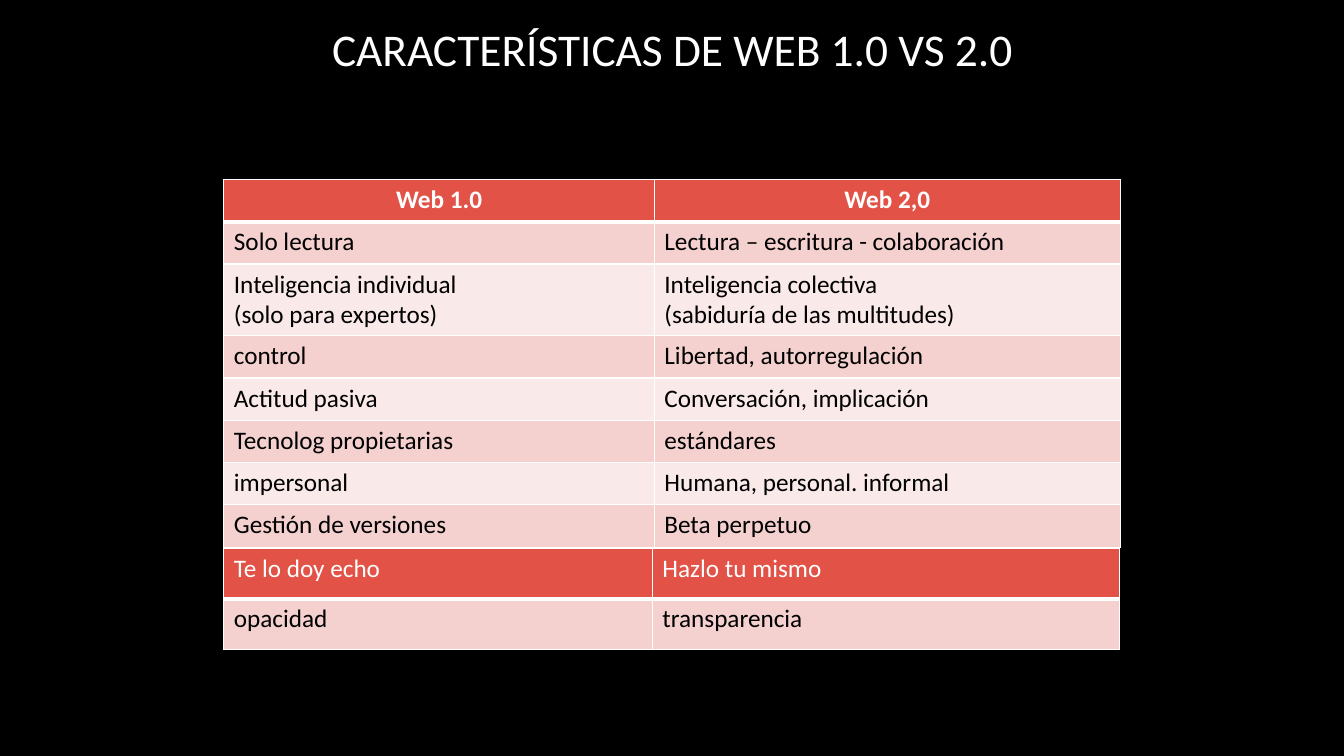
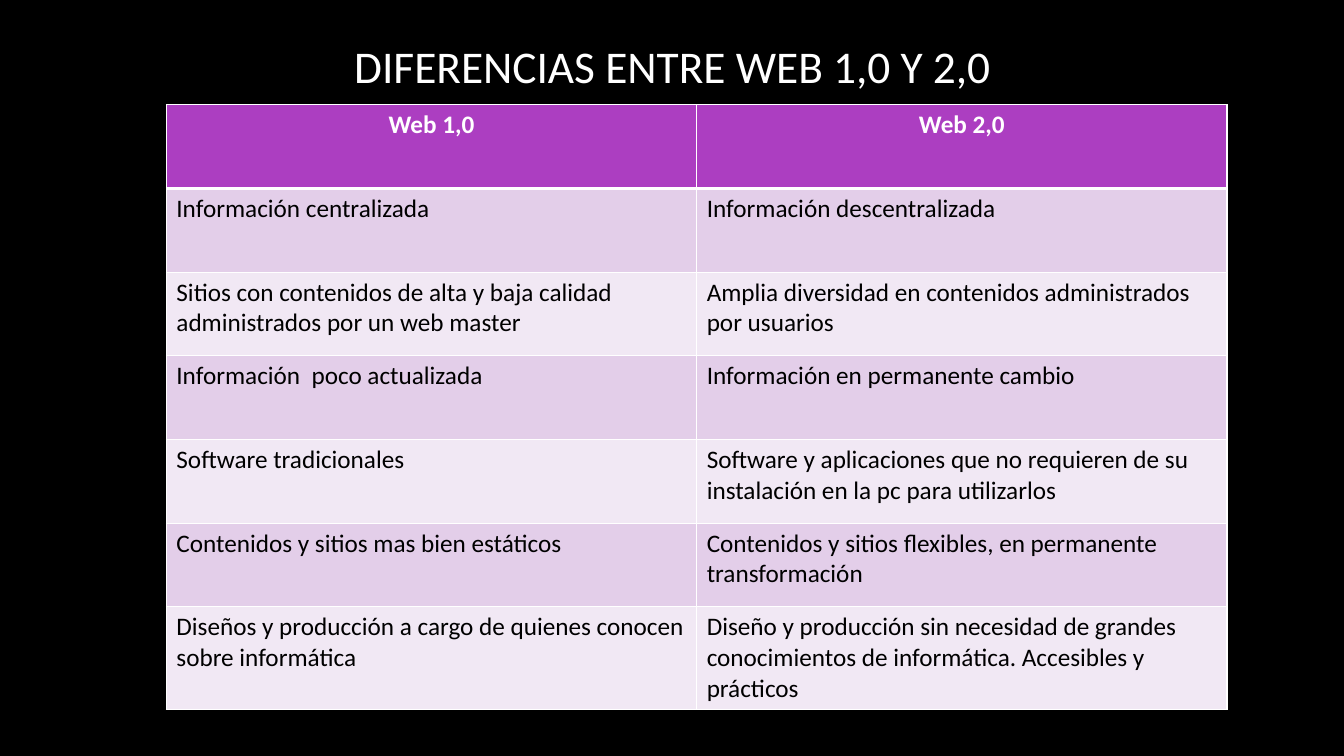
import pptx
import pptx.util
import pptx.dml.color
import pptx.enum.text
import pptx.oxml.ns
import lxml.etree

Inches, Pt = pptx.util.Inches, pptx.util.Pt
ALIGN = pptx.enum.text.PP_ALIGN
RED = ("E25247", "F4D1CF", "FAE9E9")
PURPLE = ("AC3EC1", "E3CEE9", "F1E8F4")
WHITE, BLACK = "FFFFFF", "000000"


def rgb(value):
    return pptx.dml.color.RGBColor.from_string(value)


def style_text(paragraph, size, color, bold, align):
    for name, value in {"name": "Calibri", "size": Pt(size), "bold": bold}.items():
        setattr(paragraph.font, name, value)
    paragraph.font.color.rgb = rgb(color)
    paragraph.alignment = align


# Content: title, its top and height, then the tables of each slide
comparisons = [
    {"title": "CARACTERÍSTICAS DE WEB 1.0 VS 2.0", "top": 0.17, "height": 0.62, "tables": [
        {"left": 2.22, "top": 1.78, "columns": (4.27, 4.62), "colors": RED, "titled": True,
         "heights": [0.42, 0.42, 0.69] + [0.42] * 5,
         "rows": [
             ("Web 1.0", "Web 2,0"),
             ("Solo lectura", "Lectura – escritura - colaboración"),
             ("Inteligencia individual \n(solo para expertos)",
              "Inteligencia colectiva \n(sabiduría de las multitudes)"),
             ("control", "Libertad, autorregulación"),
             ("Actitud pasiva", "Conversación, implicación"),
             ("Tecnolog propietarias", "estándares"),
             ("impersonal", "Humana, personal. informal"),
             ("Gestión de versiones", "Beta perpetuo")]},
        {"left": 2.22, "top": 5.44, "columns": (4.25, 4.63), "colors": RED, "titled": False,
         "heights": [0.5] * 2,
         "rows": [
             ("Te lo doy echo", "Hazlo tu mismo"),
             ("opacidad", "transparencia")]}]},
    {"title": "DIFERENCIAS ENTRE WEB 1,0 Y 2,0", "top": 0.4, "height": 0.5, "tables": [
        {"left": 1.65, "top": 1.04, "columns": (5.26, 5.26), "colors": PURPLE, "titled": True,
         "heights": [0.83] * 6 + [1.01],
         "rows": [
             ("Web 1,0", "Web 2,0"),
             ("Información centralizada", "Información descentralizada"),
             ("Sitios con contenidos de alta y baja calidad administrados por un web master",
              "Amplia diversidad en contenidos administrados por usuarios"),
             ("Información  poco actualizada", "Información en permanente cambio"),
             ("Software tradicionales",
              "Software y aplicaciones que no requieren de su instalación en la pc para utilizarlos"),
             ("Contenidos y sitios mas bien estáticos",
              "Contenidos y sitios flexibles, en permanente transformación"),
             ("Diseños y producción a cargo de quienes conocen sobre informática",
              "Diseño y producción sin necesidad de grandes conocimientos de informática. "
              "Accesibles y prácticos")]}]},
]

# Shared page: size and black background
prs = pptx.Presentation()
prs.slide_width, prs.slide_height = Inches(13.33), Inches(7.5)
prs.slide_master.background.fill.solid()
prs.slide_master.background.fill.fore_color.rgb = rgb(BLACK)

for comparison in comparisons:
    slide = prs.slides.add_slide(prs.slide_layouts[5])

    # Title
    title = slide.shapes.title
    title.left, title.top = Inches(0.92), Inches(comparison["top"])
    title.width, title.height = Inches(11.5), Inches(comparison["height"])
    title.text_frame.text = comparison["title"]
    for name, value in {"word_wrap": True, "auto_size": pptx.enum.text.MSO_AUTO_SIZE.NONE,
                        "vertical_anchor": pptx.enum.text.MSO_ANCHOR.MIDDLE}.items():
        setattr(title.text_frame, name, value)
    style_text(title.text_frame.paragraphs[0], 32.4, WHITE, False, ALIGN.CENTER)

    # Comparison tables
    for part in comparison["tables"]:
        grid = slide.shapes.add_table(
            len(part["rows"]), 2, Inches(part["left"]), Inches(part["top"]),
            Inches(sum(part["columns"])), Inches(sum(part["heights"]))).table
        for column, width in zip(grid.columns, part["columns"]):
            column.width = Inches(width)
        header_color, *bands = part["colors"]

        for r, (height, texts) in enumerate(zip(part["heights"], part["rows"])):
            grid.rows[r].height = Inches(height)
            header = r == 0
            heading = header and part["titled"]
            # The rule below the header is thicker than the others
            borders = {"L": 1, "R": 1, "T": 3 if r == 1 else 1, "B": 3 if header else 1}
            for c, text in enumerate(texts):
                cell = grid.cell(r, c)
                cell.text = text
                for paragraph in cell.text_frame.paragraphs:
                    style_text(paragraph, 18, WHITE if header else BLACK, heading,
                               ALIGN.CENTER if heading else ALIGN.LEFT)
                properties = cell._tc.get_or_add_tcPr()
                for side, weight in borders.items():
                    line = lxml.etree.SubElement(
                        properties, pptx.oxml.ns.qn("a:ln" + side), w=str(Pt(weight)))
                    paint = lxml.etree.SubElement(line, pptx.oxml.ns.qn("a:solidFill"))
                    lxml.etree.SubElement(paint, pptx.oxml.ns.qn("a:srgbClr"), val=WHITE)
                cell.fill.solid()
                cell.fill.fore_color.rgb = rgb(header_color if header else bands[(r - 1) % 2])

prs.save("out.pptx")
